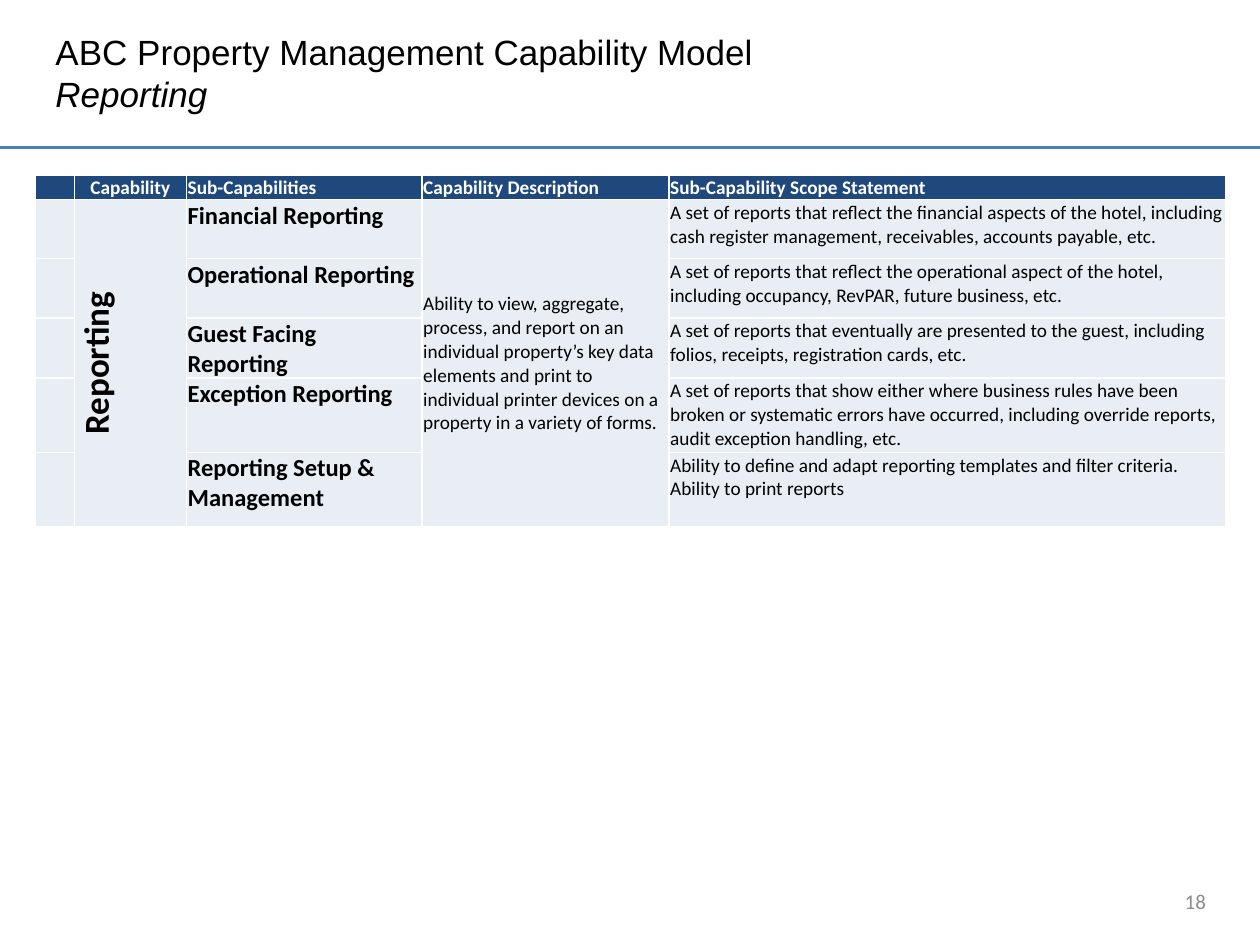
import pptx
import pptx.util
import pptx.dml.color
import pptx.enum.shapes
import pptx.enum.text
import pptx.oxml.ns
from lxml import etree

Inches = pptx.util.Inches
Pt = pptx.util.Pt
Align = pptx.enum.text.PP_ALIGN
Anchor = pptx.enum.text.MSO_ANCHOR
qn = pptx.oxml.ns.qn

TITLE = "ABC Property Management Capability Model"
SUBTITLE = "Reporting"
PAGE_NUMBER = "18"
HEADERS = ["", "Capability", "Sub-Capabilities", "Capability Description",
           "Sub-Capability Scope Statement"]
CAPABILITY = "Reporting"
DESCRIPTION = ("Ability to view, aggregate, process, and report on an individual property’s "
               "key data elements and print to individual printer devices on a property "
               "in a variety of forms.")
SUB_CAPABILITIES = [
    ("Financial Reporting",
     ["A set of reports that reflect the financial aspects of the hotel, including "
      "cash register management, receivables, accounts payable, etc."]),
    ("Operational Reporting",
     ["A set of reports that reflect the operational aspect of the hotel, including "
      "occupancy, RevPAR, future business, etc."]),
    ("Guest Facing Reporting",
     ["A set of reports that eventually are presented to the guest, including folios, "
      "receipts, registration cards, etc."]),
    ("Exception Reporting",
     ["A set of reports that show either where business rules have been broken or "
      "systematic errors have occurred, including override reports, audit exception "
      "handling, etc."]),
    ("Reporting Setup & Management",
     ["Ability to define and adapt reporting templates and filter criteria.",
      "Ability to print reports"]),
]
COLUMN_WIDTHS = [0.31, 0.89, 1.87, 1.96, 4.42]
ROW_HEIGHTS = [0.19, 0.47, 0.47, 0.47, 0.59, 0.59]
NAVY, PALE, WHITE, BLACK = "1F497D", "E9EDF4", "FFFFFF", "000000"


def color(value):
    return pptx.dml.color.RGBColor.from_string(value)


def add_run(paragraph, text, size, font="Calibri", fill=BLACK, bold=False, italic=False):
    run = paragraph.add_run()
    run.text = text
    run.font.name = font
    run.font.size = Pt(size)
    run.font.bold = bold
    run.font.italic = italic
    run.font.color.rgb = color(fill)


def format_cell(cell, fill):
    cell.margin_left = cell.margin_right = cell.margin_top = Inches(0.01)
    cell.margin_bottom = 0
    properties = cell._tc.get_or_add_tcPr()
    for side in ("lnL", "lnR", "lnT", "lnB"):
        line = etree.SubElement(properties, qn(f"a:{side}"), w=str(Pt(1)))
        solid = etree.SubElement(line, qn("a:solidFill"))
        etree.SubElement(solid, qn("a:srgbClr"), val=WHITE)
    cell.fill.solid()
    cell.fill.fore_color.rgb = color(fill)
    etree.SubElement(cell.text_frame.paragraphs[0]._p, qn("a:endParaRPr"), sz="1000")


def write_cell(cell, lines, size, fill=BLACK, bold=False, align=Align.LEFT, anchor=Anchor.TOP):
    cell.vertical_anchor = anchor
    frame = cell.text_frame
    for index, line in enumerate(lines):
        paragraph = frame.add_paragraph() if index else frame.paragraphs[0]
        paragraph.alignment = align
        add_run(paragraph, line, size, fill=fill, bold=bold)


def add_title(slide):
    title = slide.shapes.title
    title.left, title.top = Inches(0.34), Inches(0.13)
    title.width, title.height = Inches(7.89), Inches(0.89)
    title.text_frame.word_wrap = True
    title.text_frame.vertical_anchor = Anchor.MIDDLE
    paragraph = title.text_frame.paragraphs[0]
    paragraph.alignment = Align.LEFT
    add_run(paragraph, TITLE, 20, "Arial")
    paragraph.add_line_break()
    add_run(paragraph, SUBTITLE, 20, "Arial", italic=True)


def add_rule(slide):
    rule = slide.shapes.add_connector(pptx.enum.shapes.MSO_CONNECTOR.STRAIGHT,
                                      0, Inches(1.17), Inches(10), Inches(1.17))
    rule.line.color.rgb = color("4B7EBC")
    rule.line.width = Pt(1.5)
    etree.SubElement(rule._element.spPr, qn("a:effectLst"))


def add_page_number(slide):
    box = slide.shapes.add_textbox(Inches(7.34), Inches(6.95), Inches(2.33), Inches(0.4))
    box.text_frame.word_wrap = True
    box.text_frame.vertical_anchor = Anchor.MIDDLE
    paragraph = box.text_frame.paragraphs[0]
    paragraph.alignment = Align.RIGHT
    add_run(paragraph, PAGE_NUMBER, 12, fill="8C8C8C")


def add_capability_table(slide):
    table = slide.shapes.add_table(
        len(ROW_HEIGHTS), len(COLUMN_WIDTHS), Inches(0.28), Inches(1.39),
        Inches(sum(COLUMN_WIDTHS)), Inches(sum(ROW_HEIGHTS))).table
    for column, width in zip(table.columns, COLUMN_WIDTHS):
        column.width = Inches(width)
    for index, (row, height) in enumerate(zip(table.rows, ROW_HEIGHTS)):
        row.height = Inches(height)
        for cell in row.cells:
            format_cell(cell, PALE if index else NAVY)

    for column, header in enumerate(HEADERS):
        if header:
            write_cell(table.cell(0, column), [header], 11, WHITE, True,
                       Align.CENTER if column == 1 else Align.LEFT, Anchor.MIDDLE)
    for row, (name, scope) in enumerate(SUB_CAPABILITIES, 1):
        write_cell(table.cell(row, 2), [name], 14, bold=True)
        write_cell(table.cell(row, 4), scope, 11)

    last_row = len(SUB_CAPABILITIES)
    for column in (1, 3):
        table.cell(1, column).merge(table.cell(last_row, column))
    capability = table.cell(1, 1)
    write_cell(capability, [CAPABILITY], 20, bold=True, align=Align.CENTER, anchor=Anchor.MIDDLE)
    capability._tc.get_or_add_tcPr().set("vert", "vert270")
    write_cell(table.cell(1, 3), [DESCRIPTION], 11, anchor=Anchor.MIDDLE)


def main():
    presentation = pptx.Presentation()
    presentation.slide_width, presentation.slide_height = Inches(10), Inches(7.5)
    slide = presentation.slides.add_slide(presentation.slide_layouts[5])
    add_rule(slide)
    add_title(slide)
    add_page_number(slide)
    add_capability_table(slide)
    presentation.save("out.pptx")


if __name__ == "__main__":
    main()
